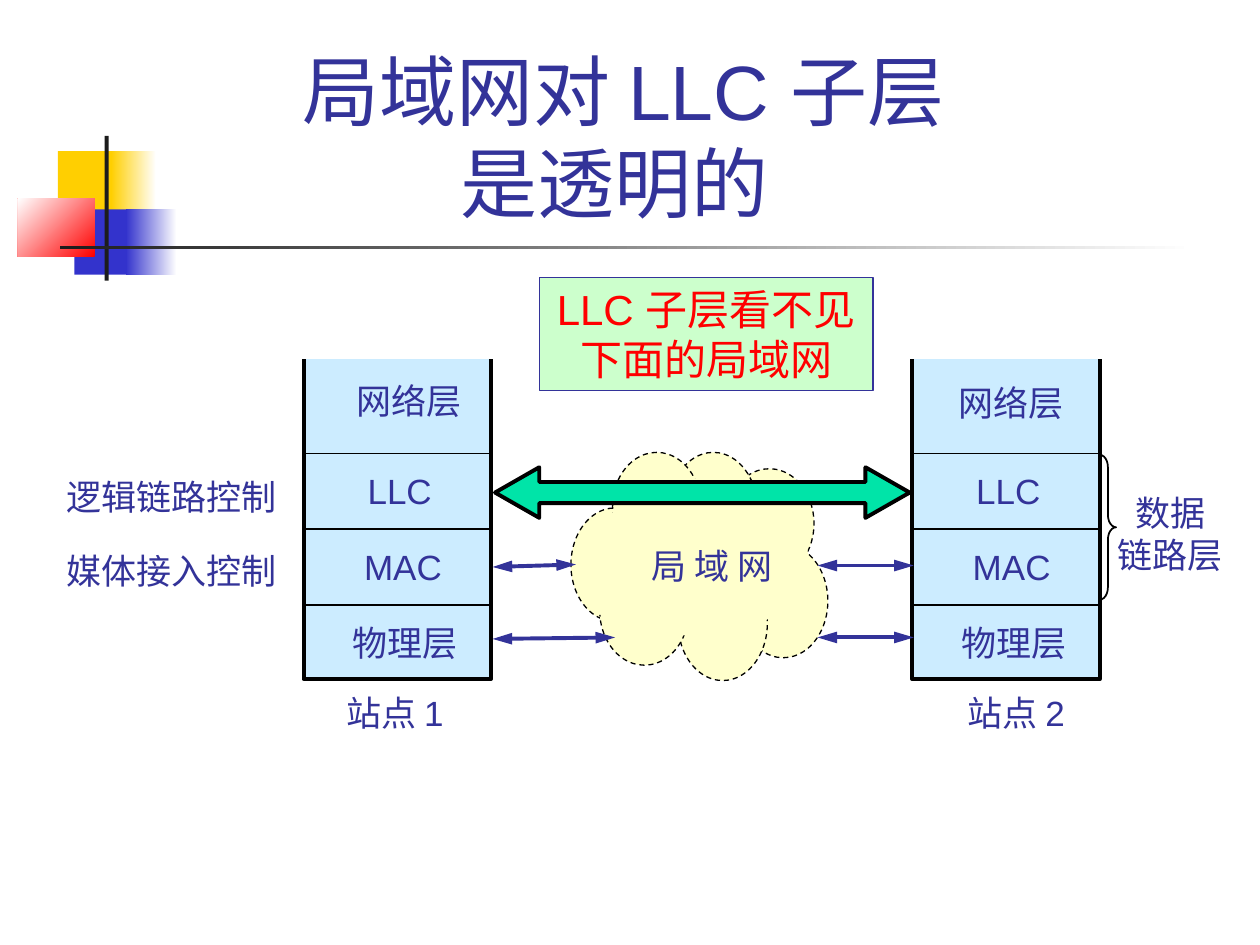
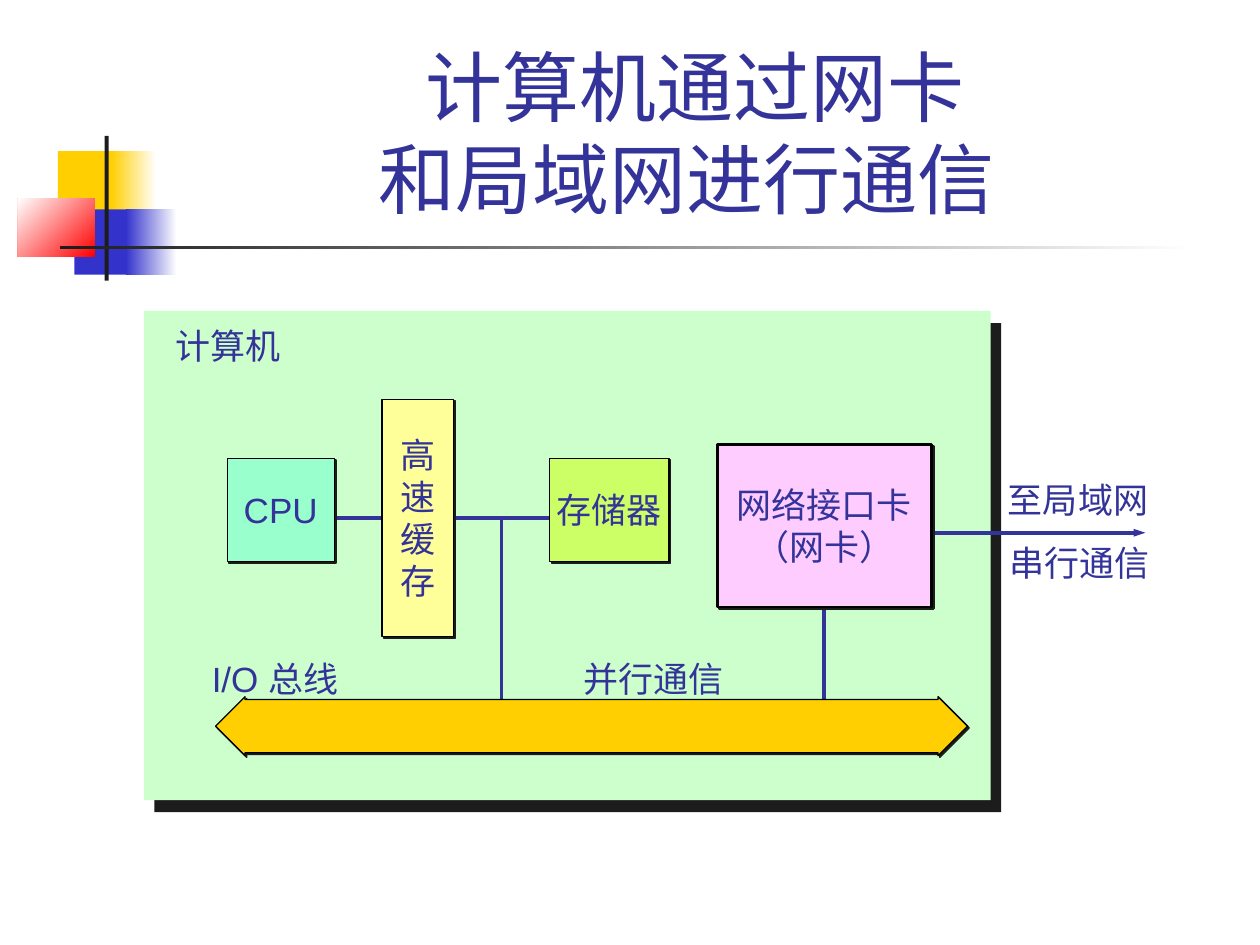
from lxml import etree
from pptx import Presentation
from pptx.dml.color import RGBColor
from pptx.enum.dml import MSO_LINE
from pptx.enum.lang import MSO_LANGUAGE_ID
from pptx.enum.shapes import MSO_CONNECTOR, MSO_SHAPE
from pptx.enum.text import MSO_ANCHOR, MSO_AUTO_SIZE, PP_ALIGN
from pptx.oxml.ns import qn
from pptx.util import Cm, Pt

RECT, OVAL = MSO_SHAPE.RECTANGLE, MSO_SHAPE.OVAL
WIDE, TALL = MSO_SHAPE.LEFT_RIGHT_ARROW, MSO_SHAPE.UP_DOWN_ARROW
BRACE = MSO_SHAPE.RIGHT_BRACE
LINE, DASH = MSO_CONNECTOR.STRAIGHT, MSO_LINE.DASH
LEFT, MID = PP_ALIGN.LEFT, PP_ALIGN.CENTER
TOP, CENTER, BOTTOM = MSO_ANCHOR.TOP, MSO_ANCHOR.MIDDLE, MSO_ANCHOR.BOTTOM
FIT, FIXED = MSO_AUTO_SIZE.SHAPE_TO_FIT_TEXT, MSO_AUTO_SIZE.NONE

WHITE = RGBColor(0xFF, 0xFF, 0xFF)
BLACK = RGBColor(0x00, 0x00, 0x00)
INK = RGBColor(0x1C, 0x1C, 0x1C)
NAVY = RGBColor(0x33, 0x33, 0x99)
BLUE = RGBColor(0x33, 0x33, 0xCC)
GOLD = RGBColor(0xFF, 0xCF, 0x01)
RED = RGBColor(0xFF, 0x00, 0x00)
SKY = RGBColor(0xCC, 0xEC, 0xFF)
CREAM = RGBColor(0xFF, 0xFF, 0xCC)
PALE = RGBColor(0xCC, 0xFF, 0xCC)
JADE = RGBColor(0x00, 0xE4, 0xA8)
MINT = RGBColor(0x99, 0xFF, 0xCC)
LEMON = RGBColor(0xFF, 0xFF, 0x99)
LIME = RGBColor(0xCC, 0xFF, 0x66)
PINK = RGBColor(0xFF, 0xCC, 0xFF)

FONT = {"name": "Arial", "bold": False,
        "language_id": MSO_LANGUAGE_ID.SIMPLIFIED_CHINESE}
LABEL = {"word_wrap": False, "auto_size": FIT, "vertical_anchor": TOP}
BLOCK = {"word_wrap": False, "auto_size": FIXED, "vertical_anchor": CENTER}
TITLE = {"word_wrap": True, "auto_size": FIXED, "vertical_anchor": BOTTOM}


# Shared helpers
def style(item, values):
    for key, value in values.items():
        setattr(item, key, value)


def place(shape, *box):
    sides = ("left", "top", "width", "height")
    style(shape, {side: Cm(size) for side, size in zip(sides, box)})


def write(frame, text, form, size=20, color=NAVY, align=LEFT):
    frame.text = text
    style(frame, form)
    for para in frame.paragraphs:
        para.alignment = align
        for run in para.runs:
            style(run.font, {**FONT, "size": Pt(size)})
            run.font.color.rgb = color


def paint(shape, fill=None, line=None, width=0.75):
    shape.shadow.inherit = False
    if fill is None:
        shape.fill.background()
    else:
        shape.fill.solid()
        shape.fill.fore_color.rgb = fill
    if line is None:
        shape.line.fill.background()
    else:
        shape.line.color.rgb = line
        shape.line.width = Pt(width)
    return shape


def draw(slide, kind, box, fill=None, line=None, width=0.75, adj=()):
    shape = slide.shapes.add_shape(kind, *map(Cm, box))
    for index, value in enumerate(adj):
        shape.adjustments[index] = value
    return paint(shape, fill, line, width)


def trace(slide, points, fill, line=None, width=0.75, close=False):
    spots = [(Cm(x), Cm(y)) for x, y in points]
    pen = slide.shapes.build_freeform(*spots[0])
    pen.add_line_segments(spots[1:], close=close)
    return paint(pen.convert_to_shape(), fill, line, width)


def label(slide, x, y, w, text, h=1.1, align=LEFT):
    box = slide.shapes.add_textbox(Cm(x), Cm(y), Cm(w), Cm(h))
    write(box.text_frame, text, LABEL, align=align)


def join(slide, x1, y1, x2, y2, color=NAVY, width=2.25, ends=(),
         head=("med", "lg")):
    link = slide.shapes.add_connector(LINE, Cm(x1), Cm(y1), Cm(x2), Cm(y2))
    link.line.color.rgb = color
    link.line.width = Pt(width)
    props = link.element.spPr
    for end in ends:
        etree.SubElement(props.find(qn("a:ln")), qn("a:" + end),
                         type="triangle", w=head[0], len=head[1])
    etree.SubElement(props, qn("a:effectLst"))


def shade(shape, dist, angle):
    effects = shape.element.spPr.find(qn("a:effectLst"))
    outer = etree.SubElement(effects, qn("a:outerShdw"), dist=str(Pt(dist)),
                             dir=str(angle * 60000), algn="ctr",
                             rotWithShape="0")
    etree.SubElement(outer, qn("a:srgbClr"), val=str(INK))


def start(deck, text, box):
    slide = deck.slides.add_slide(deck.slide_layouts[5])
    title = slide.shapes.title
    place(title, *box)
    write(title.text_frame, text, TITLE, size=44, align=MID)
    return slide


# Corner squares and rule, moved to the layout that both slides use
def adorn(slide):
    parts = [
        ((1.17, 3.05, 1.22, 1.32), GOLD, None, 0),
        ((2.24, 3.05, 0.91, 1.32), WHITE, GOLD, 180),
        ((1.5, 4.22, 1.17, 1.32), BLUE, None, 0),
        ((2.54, 4.22, 1.02, 1.32), WHITE, BLUE, 180),
        ((0.36, 4.01, 1.55, 1.17), RED, WHITE, 135),
        ((2.11, 2.74, 0.08, 2.92), INK, None, 0),
        ((1.22, 4.95, 22.86, 0.08), WHITE, INK, 180),
    ]
    tree = slide.slide_layout.shapes.element
    for index, (box, first, last, angle) in enumerate(parts):
        part = draw(slide, RECT, box, first)
        if last is not None:
            part.fill.gradient()
            part.fill.gradient_angle = angle
            for stop, color in zip(part.fill.gradient_stops, (first, last)):
                stop.color.rgb = color
        tree.insert(2 + index, part.element)


# Cloud for the local network
def cloud(slide, x, y):
    puffs = [
        (3.38, 1.85, 1.8, 2.29), (0, 1.12, 1.78, 2.29),
        (3.1, 0.33, 1.8, 2.21), (2.16, 2.29, 1.8, 2.31),
        (0.58, 2.08, 1.8, 2.21), (1.98, 0, 1.78, 2.29),
        (0.84, 0, 1.78, 2.18),
    ]
    for dx, dy, w, h in puffs:
        puff = draw(slide, OVAL, (x + dx, y + dy, w, h), CREAM, BLACK)
        puff.line.dash_style = DASH
    draw(slide, OVAL, (x + 0.46, y + 0.53, 4.32, 3.18), CREAM)
    patch = [(0.64, 2.67), (0.69, 2.72), (0.74, 2.77), (0.64, 3.25),
             (0.58, 3.28), (0.51, 3.2), (0.56, 3.02), (0.58, 2.79)]
    trace(slide, [(x + dx, y + dy) for dx, dy in patch], CREAM, close=True)
    label(slide, x + 1.37, y + 1.73, 2.95, "局 域 网")


# Protocol stack of one station
def stack(slide, x, y, name, net, foot):
    w, h = 3.78, 6.45
    trace(slide, [(x, y), (x, y + h), (x + w, y + h), (x + w, y)],
          SKY, BLACK, 2.25)
    for row in range(3):
        level = y + 1.9 + row * 1.53
        join(slide, x + 0.03, level, x + w - 0.03, level, BLACK, 1)
    rows = [(*net, 2.62, "网络层"), (1.04, 2.11, 1.8, "LLC"),
            (0.97, 3.63, 2.08, "MAC"), (0.74, 5.16, 2.62, "物理层"),
            (foot, 6.58, 2.64, name)]
    for dx, dy, width, text in rows:
        label(slide, x + dx, y + dy, width, text)


# Arrows between the stations
def links(slide, x, y):
    draw(slide, WIDE, (x + 0.08, y + 2.18, 8.36, 1.02), JADE, BLACK, 2.25,
         (0.417, 0.875))
    for x1, y1, x2, y2 in [(0.03, 4.19, 1.71, 4.14), (8.52, 4.16, 6.58, 4.16),
                           (0.03, 5.64, 2.5, 5.61), (8.52, 5.61, 6.58, 5.61)]:
        join(slide, x + x1, y + y1, x + x2, y + y2,
             ends=("headEnd", "tailEnd"))


# Notes around the stations
def notes(slide, x, y):
    for row, text in enumerate(("逻辑链路控制", "媒体接入控制")):
        label(slide, x, y + 2.23 + row * 1.48, 4.75, text)
    draw(slide, BRACE, (x + 21.08, y + 1.93, 0.33, 2.92), None, BLACK, 1,
         (0.75, 0.5))
    label(slide, x + 21.19, y + 2.54, 2.62, "数据\n链路层", 1.93, MID)
    sign = draw(slide, RECT, (x + 9.78, y - 1.65, 6.73, 2.29), PALE, NAVY)
    write(sign.text_frame, "LLC 子层看不见\n下面的局域网", LABEL, 24, RED, MID)


# Computer with its bus and network card
def computer(slide, x, y):
    case = draw(slide, RECT, (x, y, 17.07, 9.86), PALE)
    shade(case, 9.2, 49)
    wires = [(13.72, 8.36, 13.72, 5.36), (7.21, 8.36, 7.21, 4.17),
             (3.84, 4.17, 8.18, 4.17)]
    for x1, y1, x2, y2 in wires:
        join(slide, x + x1, y + y1, x + x2, y + y2)
    join(slide, x + 15.65, y + 4.47, x + 20.19, y + 4.47,
         ends=("tailEnd",), head=("sm", "med"))

    blocks = [
        (1.68, 2.97, 2.16, 2.08, MINT, 0.75, "CPU"),
        (4.8, 1.78, 1.45, 4.78, LEMON, 0.75, "高\n速\n缓\n存"),
        (8.18, 2.97, 2.41, 2.08, LIME, 0.75, "存储器"),
        (11.56, 2.69, 4.32, 3.28, PINK, 1.5, "网络接口卡\n（网卡）"),
    ]
    for dx, dy, w, h, fill, edge, text in blocks:
        block = draw(slide, RECT, (x + dx, y + dy, w, h), fill, BLACK, edge)
        write(block.text_frame, text, BLOCK, align=MID)
        shade(block, 1.4, 45)

    bus = draw(slide, TALL, (x + 8.43, y + 0.79, 1.19, 15.16), GOLD, BLACK,
               adj=(0.521, 0.901))
    bus.rotation = 90
    shade(bus, 1.4, 45)

    for dx, dy, w, text in [(0.38, 0.15, 2.62, "计算机"),
                            (1.12, 6.86, 3.23, "I/O 总线"),
                            (8.61, 6.86, 3.33, "并行通信"),
                            (17.17, 3.25, 3.33, "至局域网"),
                            (17.2, 4.52, 3.33, "串行通信")]:
        label(slide, x + dx, y + dy, w, text)


def main():
    deck = Presentation()
    deck.slide_width, deck.slide_height = Cm(25.4), Cm(19.05)

    first = start(deck, "局域网对 LLC 子层\v是透明的 ",
                  (3.05, 2.59, 19.05, 2.13))
    adorn(first)
    cloud(first, 11.51, 9.12)
    stack(first, 6.12, 7.24, "站点 1", (0.81, 0.28), 0.61)
    stack(first, 18.39, 7.24, "站点 2", (0.69, 0.33), 0.86)
    links(first, 9.9, 7.24)
    notes(first, 1.09, 7.24)

    second = start(deck, "计算机通过网卡\v和局域网进行通信 ",
                   (3.2, 0.58, 21.64, 4.06))
    computer(second, 2.9, 6.27)
    deck.save("out.pptx")


if __name__ == "__main__":
    main()
